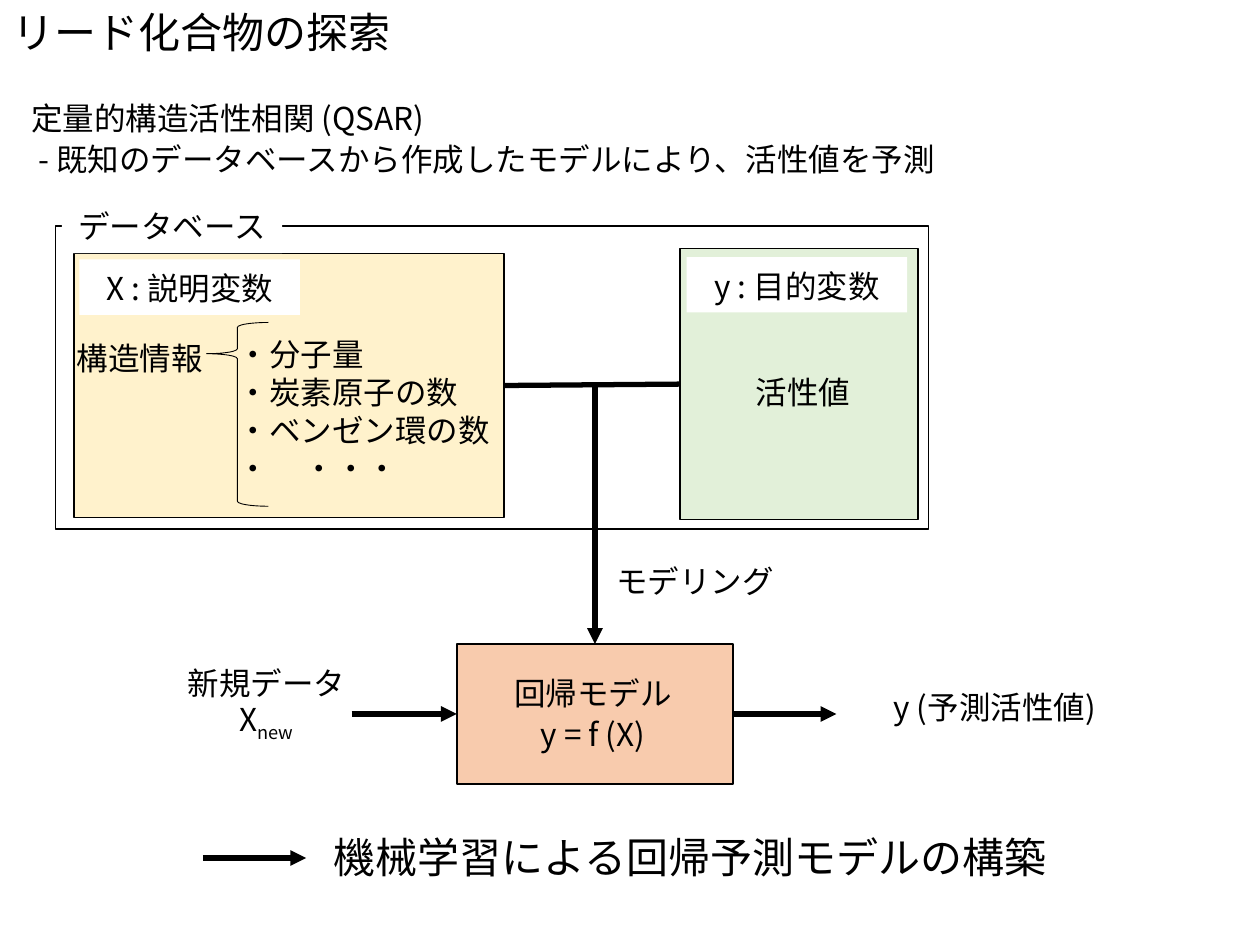
from lxml import etree
from pptx import Presentation
from pptx.dml.color import RGBColor
from pptx.enum.shapes import MSO_CONNECTOR, MSO_SHAPE
from pptx.enum.text import MSO_AUTO_SIZE, PP_ALIGN
from pptx.oxml.ns import qn
from pptx.util import Pt

RECT, BRACE = MSO_SHAPE.RECTANGLE, MSO_SHAPE.LEFT_BRACE
STRAIGHT = MSO_CONNECTOR.STRAIGHT
GROW = MSO_AUTO_SIZE.SHAPE_TO_FIT_TEXT
LEFT, CENTER = PP_ALIGN.LEFT, PP_ALIGN.CENTER
TOP_SIDE, LEFT_SIDE, RIGHT_SIDE = 0, 1, 3


def color(value):
    return RGBColor.from_string(value)


class Painter:
    font = "Noto Sans CJK JP"
    ink = "000000"
    white = "FFFFFF"
    line_spacing = Pt(23.6)

    def __init__(self, slide):
        self.s = slide

    def shape(self, kind, x, y, w, h, fill=None, width=1):
        sp = self.s.shapes.add_shape(kind, Pt(x), Pt(y), Pt(w), Pt(h))
        sp.shadow.inherit = False
        if fill:
            sp.fill.solid()
            sp.fill.fore_color.rgb = color(fill)
        else:
            sp.fill.background()
        sp.line.color.rgb = color(self.ink)
        sp.line.width = Pt(width)
        return sp

    def run(self, p, text, size):
        r = p.add_run()
        r.text = text
        for name, value in {"name": self.font, "size": Pt(size)}.items():
            setattr(r.font, name, value)
        r.font.color.rgb = color(self.ink)
        ea = etree.SubElement(r.font._element, qn("a:ea"))
        ea.set("typeface", self.font)
        return r

    def text(self, x, y, w, h, lines, size=18, fill=None, **fmt):
        sp = self.s.shapes.add_textbox(Pt(x), Pt(y), Pt(w), Pt(h))
        if fill:
            sp.fill.solid()
            sp.fill.fore_color.rgb = color(fill)
        tf = sp.text_frame
        tf.auto_size = GROW
        tf.word_wrap = "line_spacing" in fmt
        for i, line in enumerate(lines):
            p = tf.add_paragraph() if i else tf.paragraphs[0]
            for name, value in fmt.items():
                setattr(p, name, value)
            self.run(p, line, size)
        return tf.paragraphs

    def block(self, x, y, w, h, lines, align=CENTER, fill=None):
        return self.text(x, y, w, h, lines, fill=fill, alignment=align,
                         line_spacing=self.line_spacing)

    def line(self, x1, y1, x2, y2, start=None, end=None, arrow=True):
        c = self.s.shapes.add_connector(STRAIGHT, Pt(x1), Pt(y1), Pt(x2), Pt(y2))
        if start:
            c.begin_connect(*start)
        if end:
            c.end_connect(*end)
        c.line.color.rgb = color(self.ink)
        c.line.width = Pt(3)
        if arrow:
            ln = c.line._get_or_add_ln()
            etree.SubElement(ln, qn("a:tailEnd")).set("type", "triangle")
        etree.SubElement(c._element.spPr, qn("a:effectLst"))
        return c


def add_tab(p, pos):
    tabs = etree.SubElement(p._p.get_or_add_pPr(), qn("a:tabLst"))
    tab = etree.SubElement(tabs, qn("a:tab"))
    tab.set("pos", str(Pt(pos)))
    tab.set("algn", "l")


def main():
    prs = Presentation()
    prs.slide_width, prs.slide_height = Pt(720), Pt(540)
    d = Painter(prs.slides.add_slide(prs.slide_layouts[6]))

    # Data panels
    target = d.shape(RECT, 388.8, 142, 136, 155, "E2F0D9")
    features = d.shape(RECT, 42.5, 144.8, 245.5, 151, "FFF2CC")

    # Title and introduction
    d.text(0, 0, 232.6, 36, ["リード化合物の探索"], size=24)
    d.block(10.8, 51, 551, 55.4, [
        "定量的構造活性相関 (QSAR)",
        " - 既知のデータベースから作成したモデルにより、活性値を予測",
    ], align=LEFT)

    # Database frame and its label
    d.shape(RECT, 31.7, 129, 499, 173.5)
    d.block(35.3, 113, 126, 31.7, ["データベース"], fill=d.white)

    # Panel contents
    d.text(36.7, 190, 87, 29, ["構造情報"])
    d.text(424.8, 209.5, 69, 29, ["活性値"])
    brace = d.shape(BRACE, 118, 184.3, 35.3, 105, width=0.5)
    brace.adjustments[0], brace.adjustments[1] = 0.08, 0.17
    items = d.text(128.9, 188, 159.8, 94.3, [
        "・分子量", "・炭素原子の数", "・ベンゼン環の数", "・\t・・・"])
    add_tab(items[-1], 37.5)
    d.block(45.4, 148.3, 126, 31.7, ["X : 説明変数"], fill=d.white)
    d.block(392.4, 146.9, 126, 31.7, ["y : 目的変数"], fill=d.white)

    # Regression model
    model = d.shape(RECT, 261, 368, 158, 80, "F8CBAD")
    d.block(275.8, 379.4, 126, 55.4, ["回帰モデル", "y = f (X)"])

    # Data to model
    d.line(288, 219.5, 388.8, 219.5, (features, RIGHT_SIDE),
           (target, LEFT_SIDE), arrow=False)
    d.line(340, 220, 340, 368, end=(model, TOP_SIDE))
    d.block(334, 315.4, 126, 31.7, ["モデリング"])

    # Input and predicted output
    new_data = d.block(89.3, 373.7, 126, 55.4, ["新規データ X"], fill=d.white)
    sub = d.run(new_data[0], "new", 18)
    sub.font._element.set("baseline", "-25000")
    d.line(201, 408, 261, 408, end=(model, LEFT_SIDE))
    d.block(478, 387.4, 180.7, 31.7, ["y (予測活性値)"], fill=d.white)
    d.line(419, 408, 478, 408, start=(model, RIGHT_SIDE))

    # Conclusion
    d.text(183.6, 471.6, 426, 36, ["機械学習による回帰予測モデルの構築"], size=24)
    d.line(116, 490.3, 175, 490.3)

    prs.save("out.pptx")


if __name__ == "__main__":
    main()
